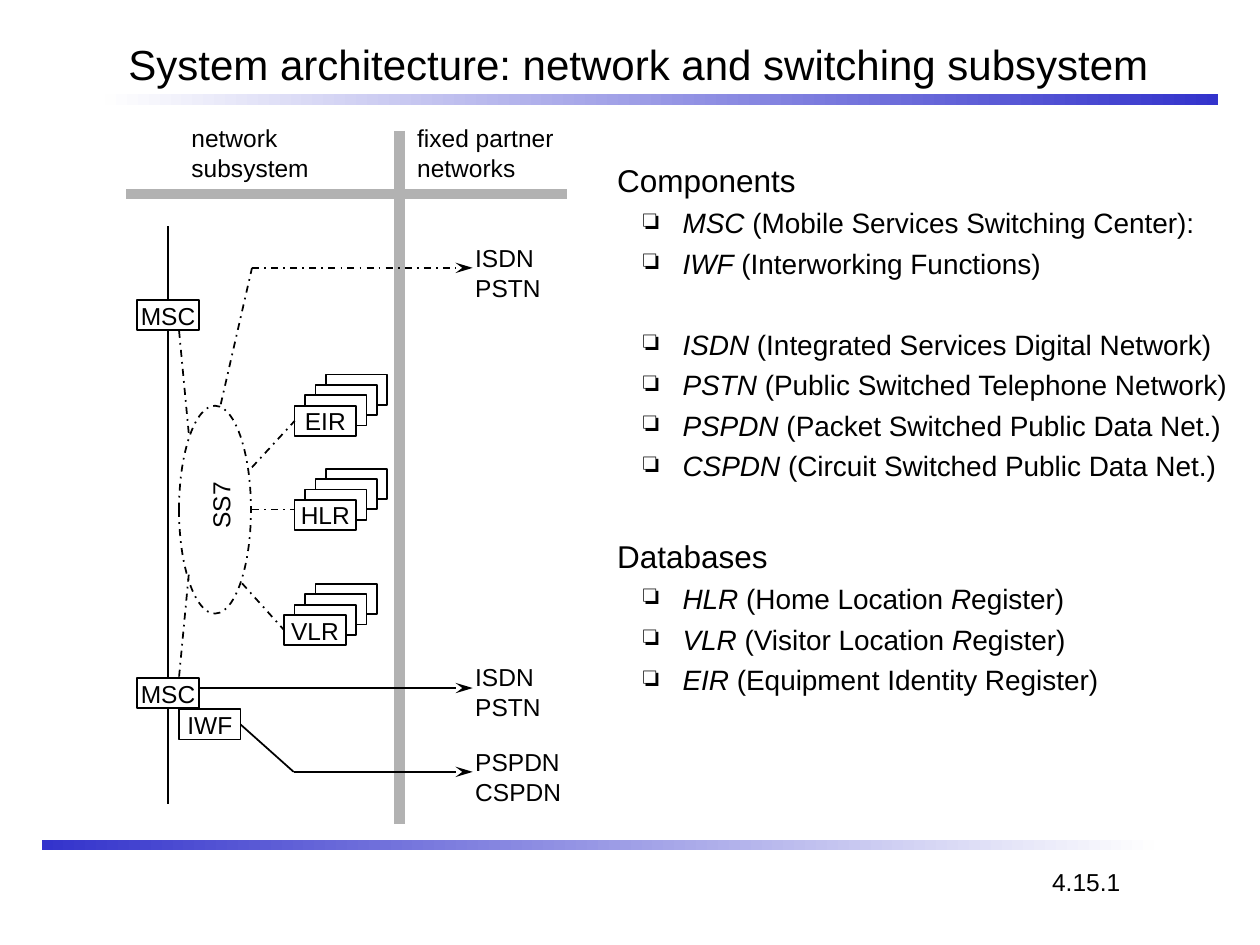
from lxml import etree
from pptx import Presentation
from pptx.dml.color import RGBColor
from pptx.enum.dml import MSO_LINE
from pptx.enum.shapes import MSO_CONNECTOR, MSO_SHAPE
from pptx.enum.text import MSO_ANCHOR, PP_ALIGN
from pptx.oxml.ns import qn
from pptx.util import Cm, Pt

COLORS = {"black": "000000", "white": "FFFFFF", "gray": "B2B2B2",
          "blue": "3333CC", "fade": "FEFEFE"}
FONT = "Arial"
TOP, LEFT, BOTTOM, RIGHT = range(4)

TITLE = "System architecture: network and switching subsystem"
PAGE = "4.15.1"
SECTIONS = [
    ("Components", [
        [["MSC", " (Mobile Services Switching Center):"],
         ["IWF", " (Interworking Functions)"]],
        [["ISDN", " (Integrated Services Digital Network)"],
         ["PSTN", " (Public Switched Telephone Network)"],
         ["PSPDN", " (Packet Switched Public Data Net.)"],
         ["CSPDN", " (Circuit Switched Public Data Net.)"]],
    ]),
    ("Databases", [
        [["HLR", " (Home Location ", "R", "egister)"],
         ["VLR", " (Visitor Location ", "R", "egister)"],
         ["EIR", " (Equipment Identity Register)"]],
    ]),
]
LABELS = [
    (["network", "subsystem"], (3.61, 2.36, 3.68, 1.45)),
    (["fixed partner", "networks"], (8.16, 2.36, 3.45, 1.45)),
    (["ISDN", "PSTN"], (9.33, 4.78, 1.85, 1.45)),
    (["ISDN", "PSTN"], (9.33, 13.23, 2.08, 1.45)),
    (["PSPDN", "CSPDN"], (9.33, 14.94, 2.29, 1.45)),
]
BOX_SIZE = (1.24, 0.61)
STACK_STEP = 0.21
BOXES = {
    "upper MSC": ("MSC", 2.77, 6.05, 1),
    "lower MSC": ("MSC", 2.77, 13.67, 1),
    "IWF": ("IWF", 3.61, 14.3, 1),
    "EIR": ("EIR", 5.94, 8.18, 4),
    "HLR": ("HLR", 5.94, 10.08, 4),
    "VLR": ("VLR", 5.73, 12.4, 4),
}
DIVIDERS = [((8.05, 2.64), (8.05, 16.61)), ((2.54, 3.91), (11.43, 3.91))]
SOLID_LINKS = [
    (("upper MSC", TOP), (3.39, 4.55)),
    (("upper MSC", BOTTOM), ("lower MSC", TOP)),
    (("lower MSC", BOTTOM), (3.39, 16.2)),
    (("IWF", RIGHT), (5.92, 15.56)),
]
SOLID_ARROWS = [((4.02, 13.87), (9.53, 13.87)), ((5.92, 15.56), (9.53, 15.56))]
SIGNAL_LINKS = [
    ((3.61, 6.67), (3.81, 8.79)),
    ((3.61, 13.64), (3.81, 11.53)),
    ((5.08, 9.42), ("EIR", LEFT)),
    ((5.08, 10.27), (5.92, 10.27)),
    ((4.88, 11.76), ("VLR", LEFT)),
    ((4.45, 8.15), (5.08, 5.4)),
]
SIGNAL_ARROWS = [((5.08, 5.4), (9.53, 5.4))]

prs = Presentation()
prs.slide_width, prs.slide_height = Cm(25.4), Cm(19.05)
slide = prs.slides.add_slide(prs.slide_layouts[6])


def rgb(name):
    return RGBColor.from_string(COLORS[name])


def apply(target, **values):
    for name, value in values.items():
        setattr(target, name, value)


def write(paragraph, text, size, italic=False):
    run = paragraph.add_run()
    run.text = text
    apply(run.font, name=FONT, size=Pt(size), italic=italic)
    run.font.color.rgb = rgb("black")


def add_label(lines, place, size=14, rotation=0, **frame_format):
    label = slide.shapes.add_textbox(*map(Cm, place))
    label.rotation = rotation
    apply(label.text_frame, **{"word_wrap": True, **frame_format})
    paragraph = label.text_frame.paragraphs[0]
    for number, line in enumerate(lines):
        if number:
            paragraph.add_line_break()
        write(paragraph, line, size)


def add_outline(kind, place, fill=None, line="black"):
    shape = slide.shapes.add_shape(kind, *map(Cm, place))
    shape.shadow.inherit = False
    if fill:
        shape.fill.solid()
        shape.fill.fore_color.rgb = rgb(fill)
    else:
        shape.fill.background()
    if line:
        shape.line.color.rgb = rgb(line)
        shape.line.width = Pt(1)
    else:
        shape.line.fill.background()
    return shape


def add_bar(place, ends):
    bar = add_outline(MSO_SHAPE.RECTANGLE, place, line=None)
    bar.fill.gradient()
    bar.fill.gradient_angle = 0
    for stop, end in zip(bar.fill.gradient_stops, ends):
        stop.color.rgb = rgb(end)


def add_stack(text, left, top, count):
    for depth in reversed(range(count)):
        shift = depth * STACK_STEP
        box = add_outline(MSO_SHAPE.RECTANGLE, (left + shift, top - shift, *BOX_SIZE),
                          "white" if count > 1 else None)
    apply(box.text_frame, word_wrap=False, vertical_anchor=MSO_ANCHOR.MIDDLE)
    paragraph = box.text_frame.paragraphs[0]
    paragraph.alignment = PP_ALIGN.CENTER
    write(paragraph, text, 14)
    return box


def add_link(start, end, color="black", width=1, dash=None, arrow=False):
    points = [(0, 0) if isinstance(spot[0], str) else spot for spot in (start, end)]
    link = slide.shapes.add_connector(
        MSO_CONNECTOR.STRAIGHT, *(Cm(value) for point in points for value in point))
    for spot, connect in ((start, link.begin_connect), (end, link.end_connect)):
        if isinstance(spot[0], str):
            connect(boxes[spot[0]], spot[1])
    link.line.color.rgb = rgb(color)
    apply(link.line, width=Pt(width), dash_style=dash)
    properties = link._element.spPr
    if arrow:
        etree.SubElement(properties.find(qn("a:ln")), qn("a:tailEnd"),
                         type="stealth", len="lg")
    etree.SubElement(properties, qn("a:effectLst"))


def indent(paragraph, margin, first):
    properties = paragraph._p.get_or_add_pPr()
    properties.set("marL", str(Cm(margin)))
    properties.set("indent", str(Cm(first)))
    return properties


def add_sections(place):
    frame = slide.shapes.add_textbox(*map(Cm, place)).text_frame
    frame.word_wrap = True
    paragraph = frame.paragraphs[0]
    for section, (heading, groups) in enumerate(SECTIONS):
        if section:
            paragraph = frame.add_paragraph()
            paragraph.space_before = Pt(31)
        indent(paragraph, 0.28, 0)
        write(paragraph, heading, 18)
        for group, items in enumerate(groups):
            for number, parts in enumerate(items):
                paragraph = frame.add_paragraph()
                paragraph.level = 1
                paragraph.space_before = Pt(27 if group and not number else 4)
                etree.SubElement(indent(paragraph, 1.6, -0.79), qn("a:buChar"), char="❏")
                for index, part in enumerate(parts):
                    write(paragraph, part, 16, italic=index % 2 == 0)


add_bar((2.12, 1.9, 22.43, 0.21), ("fade", "blue"))
add_bar((0.84, 16.93, 22.43, 0.21), ("blue", "fade"))
add_label([TITLE], (2.34, 0.64, 21.59, 1.27), 24, vertical_anchor=MSO_ANCHOR.BOTTOM)
add_sections((11.91, 3.12, 13.26, 14.76))

for start, end in DIVIDERS:
    add_link(start, end, "gray", 6)
add_outline(MSO_SHAPE.OVAL, (3.61, 8.18, 1.45, 4.19)).line.dash_style = MSO_LINE.DASH_DOT
add_label(["SS7"], (3.43, 9.47, 2.03, 0.84), rotation=270)
boxes = {name: add_stack(*box) for name, box in BOXES.items()}
for links, dash, arrow in [(SOLID_LINKS, None, False),
                           (SOLID_ARROWS, None, True),
                           (SIGNAL_LINKS, MSO_LINE.DASH_DOT, False),
                           (SIGNAL_ARROWS, MSO_LINE.DASH_DOT, True)]:
    for start, end in links:
        add_link(start, end, dash=dash, arrow=arrow)
for lines, place in LABELS:
    add_label(lines, place)
add_label([PAGE], (20.96, 17.35, 1.88, 0.86), word_wrap=False)

prs.save("out.pptx")
